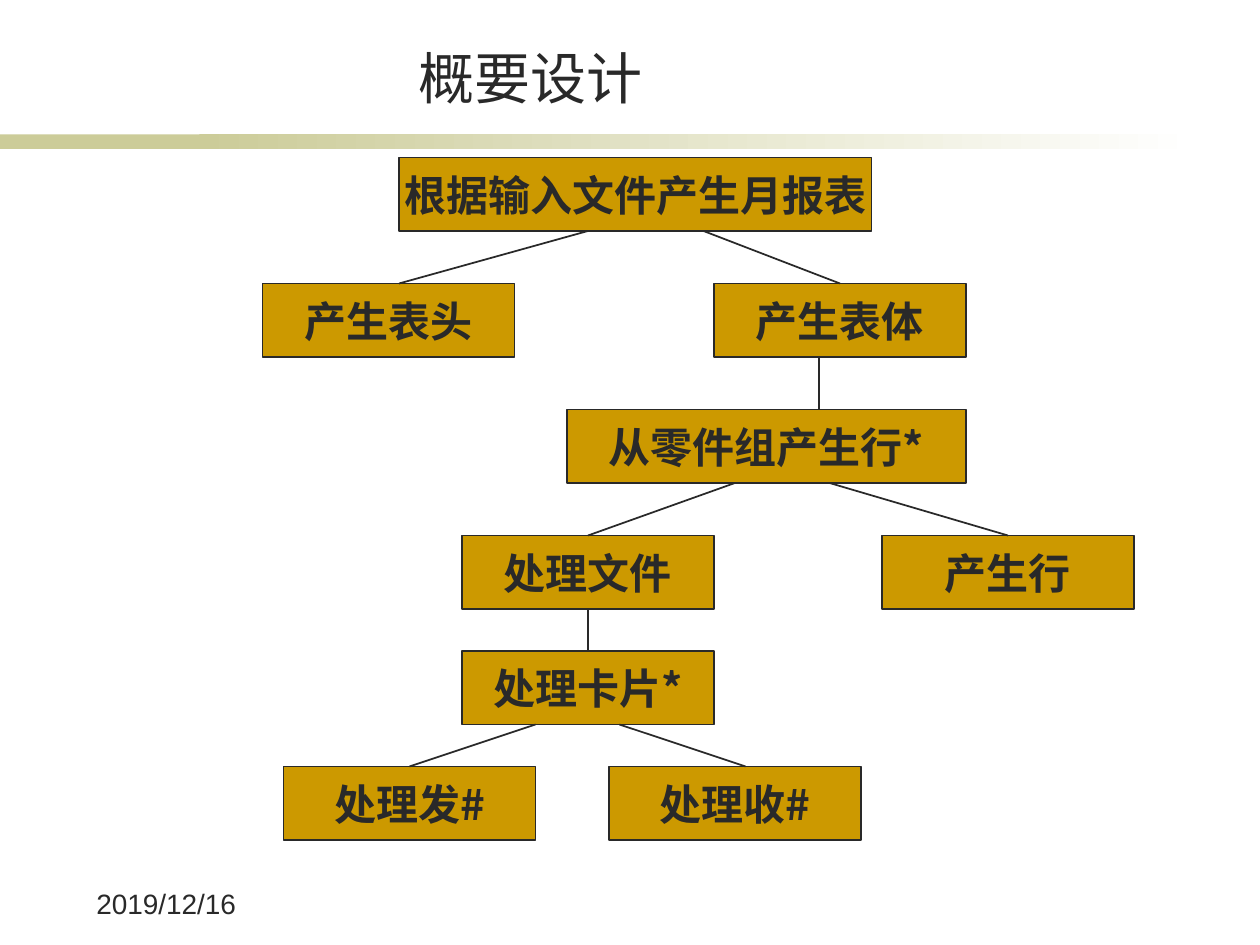
from dataclasses import dataclass

from lxml.etree import SubElement
from pptx import Presentation
from pptx.dml.color import RGBColor
from pptx.enum.shapes import MSO_CONNECTOR, MSO_SHAPE
from pptx.enum.text import MSO_ANCHOR, PP_ALIGN
from pptx.oxml.ns import qn
from pptx.util import Pt

PX = 7620


@dataclass(frozen=True)
class Theme:
    ink: str = "292929"
    box: str = "CC9900"
    band: str = "CCCC99"
    paper: str = "FFFFFF"
    latin: str = "Arial"
    cjk: str = "Noto Sans CJK SC"
    title: int = 32
    label: int = 24
    date: int = 16


def rgb(value):
    return RGBColor.from_string(value)


class Deck:
    def __init__(self, prs, theme):
        self.theme = theme
        self.s = prs.slides.add_slide(prs.slide_layouts[5])

    def set_text(self, sp, text, size, font, bold=False, align=PP_ALIGN.LEFT,
                 anchor=MSO_ANCHOR.TOP, wrap=True):
        tf = sp.text_frame
        tf.text = text
        tf.word_wrap = wrap
        tf.vertical_anchor = anchor
        p = tf.paragraphs[0]
        p.alignment = align
        p.font.size = Pt(size)
        p.font.bold = bold
        p.font.color.rgb = rgb(self.theme.ink)
        p.font.name = font
        props = p._p.pPr.find(qn("a:defRPr"))
        SubElement(props, qn("a:ea")).set("typeface", self.theme.cjk)

    def title(self, text, x, y, w, h):
        sp = self.s.shapes.title
        sp.left, sp.top, sp.width, sp.height = (v * PX for v in (x, y, w, h))
        self.set_text(sp, text, self.theme.title, self.theme.latin,
                      align=PP_ALIGN.CENTER, anchor=MSO_ANCHOR.BOTTOM)

    def rect(self, x, y, w, h):
        sp = self.s.shapes.add_shape(
            MSO_SHAPE.RECTANGLE, x * PX, y * PX, w * PX, h * PX)
        sp.shadow.inherit = False
        return sp

    def band(self, x, y, w, h, fade=False):
        sp = self.rect(x, y, w, h)
        sp.line.fill.background()
        if fade:
            sp.fill.gradient()
            sp.fill.gradient_angle = 0
            colors = self.theme.band, self.theme.paper
            for stop, color in zip(sp.fill.gradient_stops, colors):
                stop.color.rgb = rgb(color)
        else:
            sp.fill.solid()
            sp.fill.fore_color.rgb = rgb(self.theme.band)

    def box(self, text, x, y, w, h):
        sp = self.rect(x, y, w, h)
        sp.fill.solid()
        sp.fill.fore_color.rgb = rgb(self.theme.box)
        sp.line.color.rgb = rgb(self.theme.ink)
        sp.line.width = Pt(1)
        self.set_text(sp, text, self.theme.label, self.theme.cjk, True,
                      PP_ALIGN.CENTER, MSO_ANCHOR.MIDDLE, False)

    def line(self, x1, y1, x2, y2):
        c = self.s.shapes.add_connector(
            MSO_CONNECTOR.STRAIGHT, x1 * PX, y1 * PX, x2 * PX, y2 * PX)
        c.line.color.rgb = rgb(self.theme.ink)
        c.line.width = Pt(1)
        SubElement(c._element.spPr, qn("a:effectLst"))

    def text(self, text, x, y, w, h):
        sp = self.s.shapes.add_textbox(x * PX, y * PX, w * PX, h * PX)
        self.set_text(sp, text, self.theme.date, self.theme.latin)


ROWS = [150, 270, 390, 510, 620, 730]
BOX_H = 70
BOX_W = 240

BOXES = [
    ("根据输入文件产生月报表", 0, 380, 450),
    ("产生表头", 1, 250, BOX_W),
    ("产生表体", 1, 680, BOX_W),
    ("从零件组产生行*", 2, 540, 380),
    ("处理文件", 3, 440, BOX_W),
    ("产生行", 3, 840, BOX_W),
    ("处理卡片*", 4, 440, BOX_W),
    ("处理发#", 5, 270, BOX_W),
    ("处理收#", 5, 580, BOX_W),
]

LINKS = [
    (0, 560, 380),
    (0, 670, 800),
    (1, 780, 780),
    (2, 700, 560),
    (2, 790, 960),
    (3, 560, 560),
    (4, 510, 390),
    (4, 590, 710),
]


def main():
    prs = Presentation()
    prs.slide_width, prs.slide_height = 1200 * PX, 900 * PX
    deck = Deck(prs, Theme())
    deck.band(0, 128, 280, 14)
    deck.band(190, 128, 950, 14, fade=True)
    for text, row, x, w in BOXES:
        deck.box(text, x, ROWS[row], w, BOX_H)
    for row, start, end in LINKS:
        deck.line(start, ROWS[row] + BOX_H, end, ROWS[row + 1])
    deck.text("2019/12/16", 80, 838, 170, 47)
    deck.title("概要设计", 137, 35, 737, 76)
    prs.save("out.pptx")


if __name__ == "__main__":
    main()
